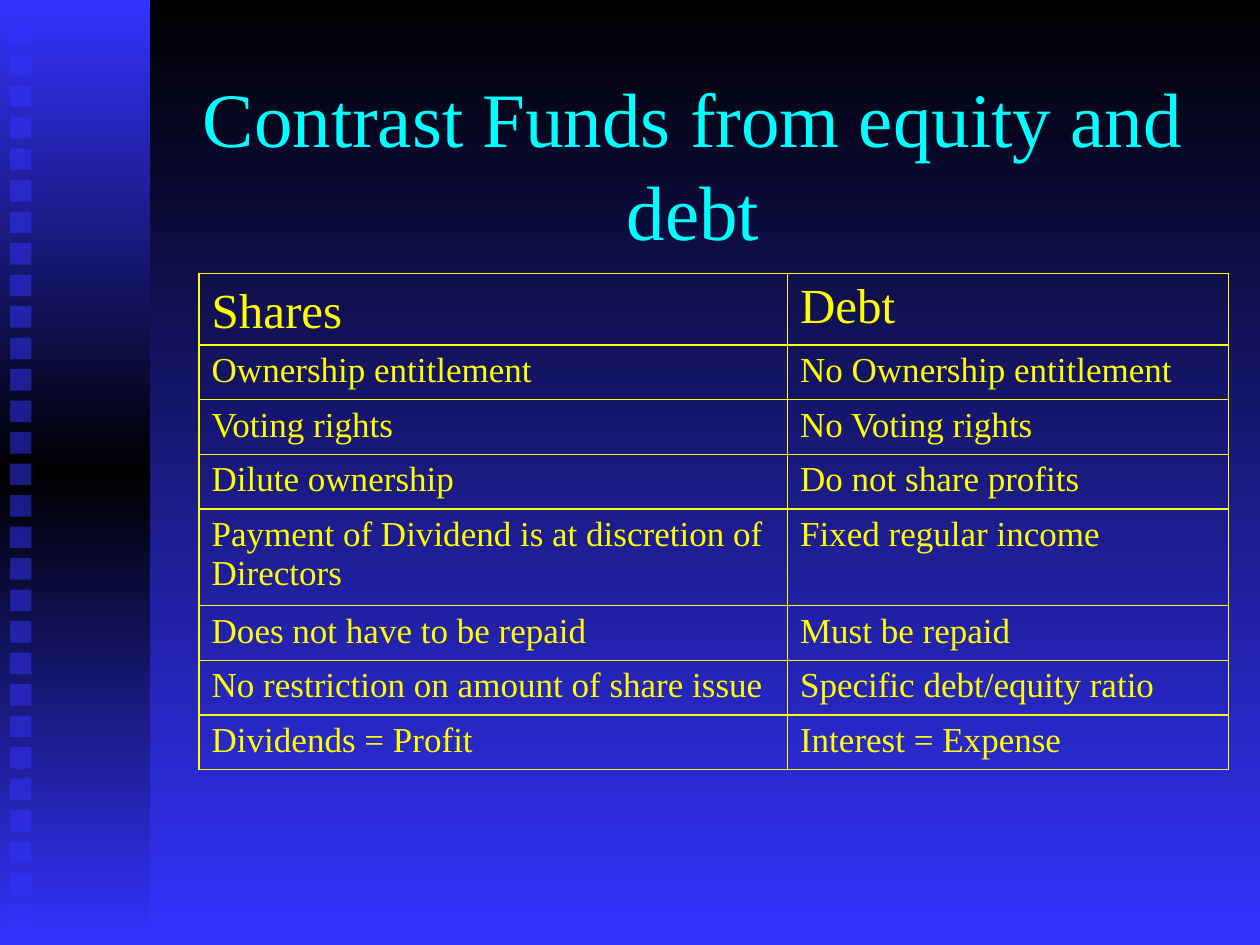
from copy import deepcopy
from lxml.etree import SubElement
from pptx import Presentation
from pptx.dml.color import RGBColor
from pptx.enum.shapes import MSO_SHAPE
from pptx.enum.text import MSO_ANCHOR, PP_ALIGN
from pptx.oxml.ns import qn
from pptx.util import Inches, Pt

TITLE = "Contrast Funds from equity and debt"
ROWS = [
    ("Shares", "Debt"),
    ("Ownership entitlement", "No Ownership entitlement"),
    ("Voting rights", "No Voting rights"),
    ("Dilute ownership", "Do not share profits"),
    ("Payment of Dividend is at discretion of Directors", "Fixed regular income"),
    ("Does not have to be repaid", "Must be repaid"),
    ("No restriction on amount of share issue", "Specific debt/equity ratio"),
    ("Dividends = Profit", "Interest = Expense"),
]
COLS = [4.67, 3.5]
ROW_H = 0.34
SQUARES, PITCH, SIDE = 29, 0.25, 0.17
FONT = "Times New Roman"
COLORS = {"black": "000000", "blue": "3333FF", "title": "00FFFF", "text": "FFFF00"}


def rgb(name):
    return RGBColor.from_string(COLORS[name])


def fade(fill, first, last):
    """Vertical gradient, top to bottom."""
    fill.gradient()
    fill.gradient_angle = 270
    for stop, name in zip(fill.gradient_stops, (first, last)):
        stop.color.rgb = rgb(name)


def block(x, y, w, h):
    shape = slide.shapes.add_shape(
        MSO_SHAPE.RECTANGLE, Inches(x), Inches(y), Inches(w), Inches(h))
    shape.shadow.inherit = False
    shape.line.fill.background()
    return shape


def style(para, size, color):
    para.font.name = FONT
    para.font.size = Pt(size)
    para.font.color.rgb = rgb(color)


def frame(cell):
    """Draw a one point line on each side of a cell."""
    props = cell._tc.get_or_add_tcPr()
    for side in ("a:lnL", "a:lnR", "a:lnT", "a:lnB"):
        line = SubElement(props, qn(side), w=str(Pt(1)))
        fill = SubElement(line, qn("a:solidFill"))
        SubElement(fill, qn("a:srgbClr"), val=COLORS["text"])


prs = Presentation()
prs.slide_width, prs.slide_height = Inches(10), Inches(7.5)
slide = prs.slides.add_slide(prs.slide_layouts[6])
fade(slide.background.fill, "black", "blue")

# Side band: blue, black in the middle, blue
band = block(0, 0, 1.19, 7.5)
fade(band.fill, "blue", "black")
stops = band._element.spPr.find(qn("a:gradFill")).find(qn("a:gsLst"))
stops[1].set("pos", "50000")
end = deepcopy(stops[0])
end.set("pos", "100000")
stops.append(end)

# Column of half transparent squares
for i in range(SQUARES):
    square = block(0.08, 0.18 + i * PITCH, SIDE, SIDE)
    square.fill.solid()
    square.fill.fore_color.rgb = rgb("blue")
    color = next(square._element.spPr.iter(qn("a:srgbClr")))
    SubElement(color, qn("a:alpha"), val="50000")

# Title
box = slide.shapes.add_textbox(Inches(1.25), Inches(0.67), Inches(8.5), Inches(1.25))
text = box.text_frame
text.word_wrap = True
text.vertical_anchor = MSO_ANCHOR.MIDDLE
text.text = TITLE
text.paragraphs[0].alignment = PP_ALIGN.CENTER
style(text.paragraphs[0], 44, "title")

# Comparison table
table = slide.shapes.add_table(
    len(ROWS), len(COLS), Inches(1.58), Inches(2.17),
    Inches(sum(COLS)), Inches(ROW_H * len(ROWS))).table
table.first_row = table.horz_banding = False
for col, width in zip(table.columns, COLS):
    col.width = Inches(width)
for r, row in enumerate(ROWS):
    table.rows[r].height = Inches(ROW_H)
    for c, words in enumerate(row):
        cell = table.cell(r, c)
        cell.text = words
        style(cell.text_frame.paragraphs[0], 20 if r else 28, "text")
        frame(cell)
        cell.fill.background()
table.cell(0, 0).vertical_anchor = MSO_ANCHOR.BOTTOM

prs.save("out.pptx")
